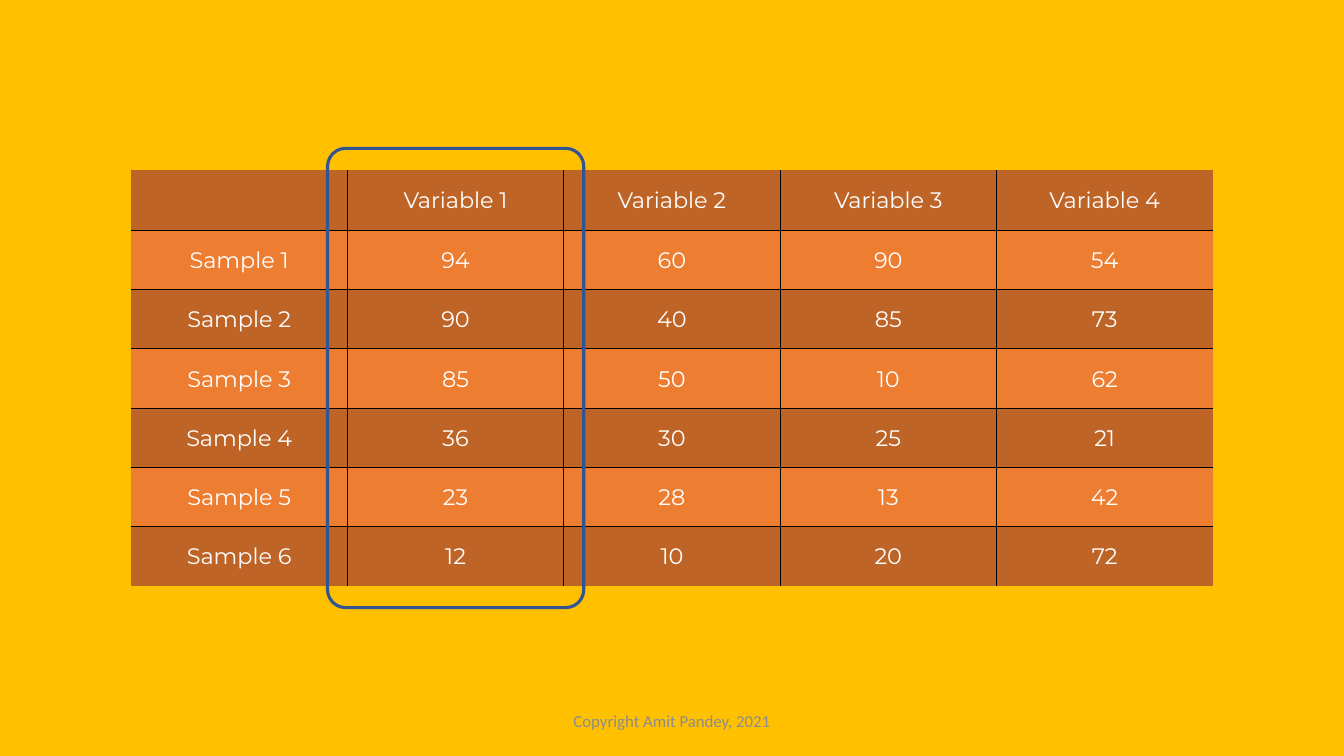
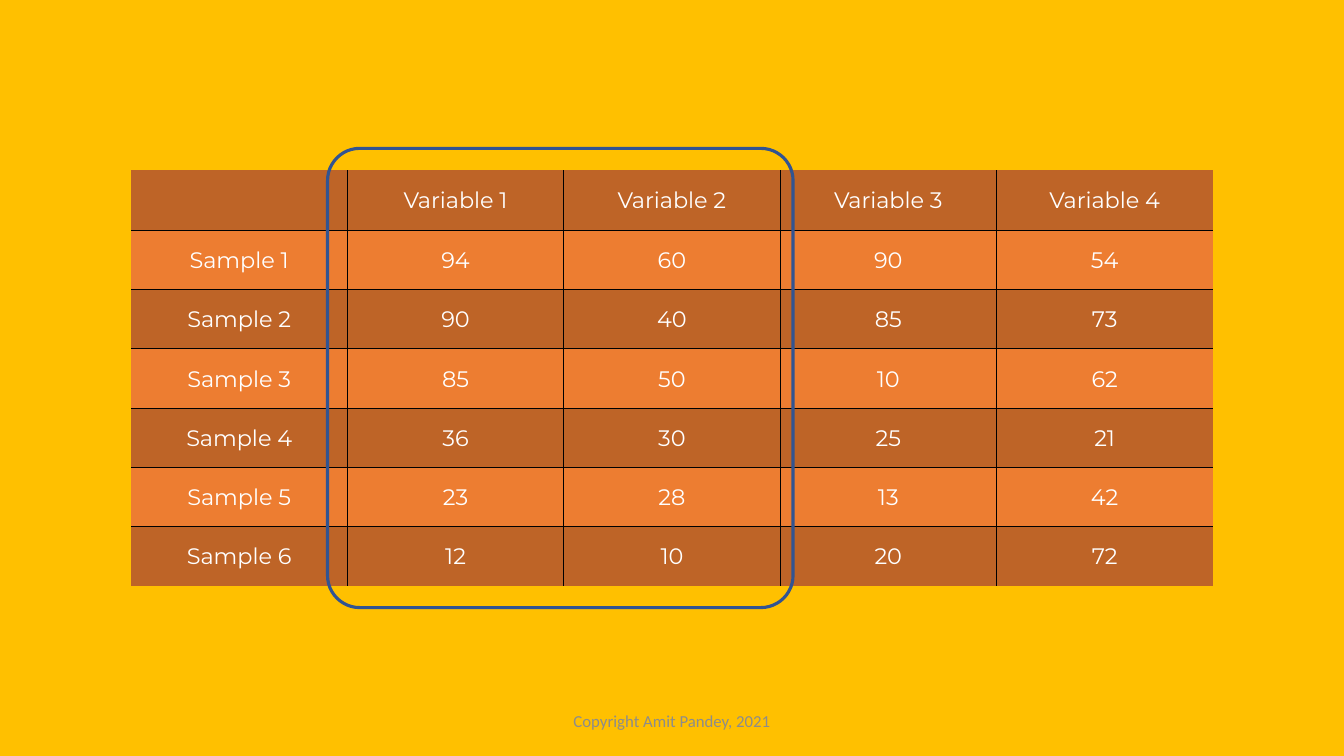
from lxml import etree
from pptx import Presentation
from pptx.dml.color import RGBColor
from pptx.enum import shapes, text
from pptx.oxml import ns
from pptx.util import Pt

BACK, DARK, LIGHT = "FFC000", "BE6427", "ED7D31"
WHITE, GRID, FRAME, GREY = "FFFFFF", "000000", "325491", "8C8C8C"
LEFT, TOP = 93.6, 121.5
COL, HEAD, ROW = 154.56, 43, 42.35
ROWS = [
    ["", "Variable 1", "Variable 2", "Variable 3", "Variable 4"],
    ["Sample 1", "94", "60", "90", "54"],
    ["Sample 2", "90", "40", "85", "73"],
    ["Sample 3", "85", "50", "10", "62"],
    ["Sample 4", "36", "30", "25", "21"],
    ["Sample 5", "23", "28", "13", "42"],
    ["Sample 6", "12", "10", "20", "72"],
]
FRAMES = [183, 332.5]  # width of the frame on each slide


def color(value):
    return RGBColor.from_string(value)


def write(frame, words, size=16, font="Montserrat", fill=WHITE):
    frame.word_wrap = True
    para = frame.paragraphs[0]
    para.text = words
    para.alignment = text.PP_ALIGN.CENTER
    para.font.size = Pt(size)
    para.font.name = font
    para.font.color.rgb = color(fill)


deck = Presentation()
deck.slide_width, deck.slide_height = Pt(960), Pt(540)
rows, cols = len(ROWS), len(ROWS[0])

for width in FRAMES:
    slide = deck.slides.add_slide(deck.slide_layouts[6])
    slide.background.fill.solid()
    slide.background.fill.fore_color.rgb = color(BACK)

    table = slide.shapes.add_table(
        rows, cols, Pt(LEFT), Pt(TOP),
        Pt(COL * cols), Pt(HEAD + ROW * (rows - 1))).table
    table.first_row = table.horz_banding = False
    for col in table.columns:
        col.width = Pt(COL)
    for r, row in enumerate(ROWS):
        table.rows[r].height = Pt(ROW if r else HEAD)
        for c, words in enumerate(row):
            cell = table.cell(r, c)
            cell.margin_left = cell.margin_right = cell.margin_top = Pt(0.75)
            cell.margin_bottom = Pt(0)
            cell.vertical_anchor = text.MSO_ANCHOR.MIDDLE
            write(cell.text_frame, words)
            # Only the inner edges of the grid are drawn
            inner = {"L": c > 0, "R": c < cols - 1,
                     "T": r > 0, "B": r < rows - 1}
            props = cell._tc.get_or_add_tcPr()
            for side, drawn in inner.items():
                line = etree.SubElement(props, ns.qn("a:ln" + side), w=str(Pt(1)))
                if drawn:
                    solid = etree.SubElement(line, ns.qn("a:solidFill"))
                    etree.SubElement(solid, ns.qn("a:srgbClr"), val=GRID)
                else:
                    etree.SubElement(line, ns.qn("a:noFill"))
            cell.fill.solid()
            cell.fill.fore_color.rgb = color(LIGHT if r % 2 else DARK)

    frame = slide.shapes.add_shape(
        shapes.MSO_SHAPE.ROUNDED_RECTANGLE, Pt(234), Pt(106), Pt(width), Pt(328))
    frame.adjustments[0] = 0.07
    frame.shadow.inherit = False
    frame.fill.background()
    frame.line.color.rgb = color(FRAME)
    frame.line.width = Pt(2.25)

    footer = slide.shapes.add_textbox(Pt(318), Pt(500.5), Pt(324), Pt(28.75))
    footer.text_frame.vertical_anchor = text.MSO_ANCHOR.MIDDLE
    write(footer.text_frame, "Copyright Amit Pandey, 2021",
          size=12, font="Calibri", fill=GREY)

deck.save("out.pptx")
